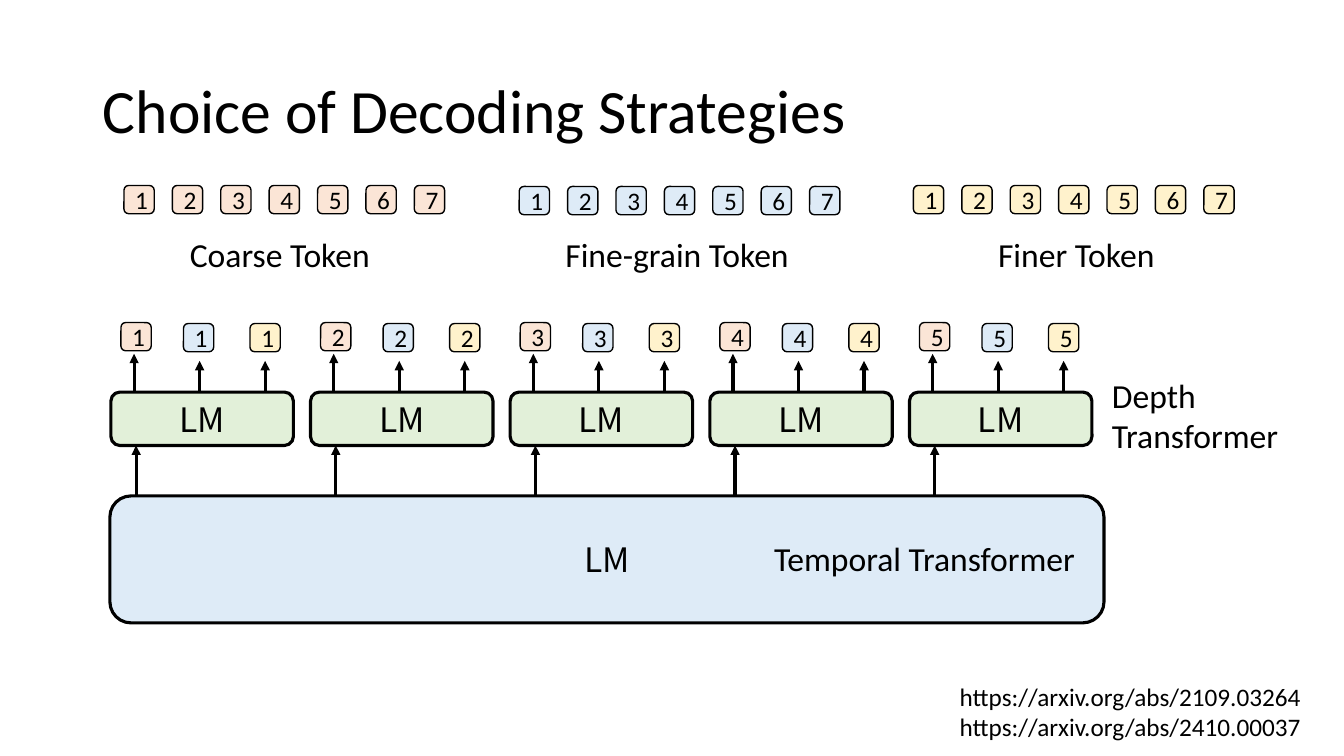
from dataclasses import dataclass

from lxml.etree import SubElement
from pptx import Presentation
from pptx.dml.color import RGBColor
from pptx.enum.shapes import MSO_CONNECTOR, MSO_SHAPE
from pptx.enum.text import MSO_ANCHOR, MSO_AUTO_SIZE, PP_ALIGN
from pptx.oxml.ns import qn
from pptx.slide import Slide
from pptx.text.text import TextFrame
from pptx.util import Inches, Pt


@dataclass(frozen=True)
class Theme:
    ink: str = "000000"
    coarse: str = "FBE5D6"
    fine: str = "DEEBF7"
    finer: str = "FFF2CC"
    depth: str = "E2F0D9"
    temporal: str = "DEEBF7"
    text_font: str = "Calibri"
    model_font: str = "Noto Sans CJK SC"
    title_size: float = 44
    label_size: float = 24
    small_size: float = 18
    thin: float = 1
    thick: float = 2.25


@dataclass(frozen=True)
class Box:
    left: float
    top: float
    width: float
    height: float

    def lengths(self) -> list[int]:
        return [Inches(v) for v in (self.left, self.top, self.width, self.height)]


@dataclass(frozen=True)
class Stream:
    """One token stream: its row at the top and its place above each depth LM."""
    name: str
    fill: str
    row_left: float
    row_top: float
    label_left: float
    token_dx: float
    token_top: float
    arrow_dx: float
    arrow_from: float
    arrow_to: float


THEME = Theme()
STREAMS = [
    Stream("Coarse Token", THEME.coarse, 1.23, 1.84, 1.35, 0.1, 3.2, 0.23, 4.02, 3.51),
    Stream("Fine-grain Token", THEME.fine, 5.15, 1.85, 5.29, 0.72, 3.21, 0.88, 4.17, 3.58),
    Stream("Finer Token", THEME.finer, 9.06, 1.84, 9.25, 1.38, 3.21, 1.53, 4.17, 3.58),
]
ROW_TOKENS, TOKEN_STEP = 7, 0.48
DEPTH_STEPS, DEPTH_LEFT, DEPTH_STEP = 5, 1.1, 1.98


def write(tf: TextFrame, lines: list[str], size: float, align: PP_ALIGN,
          font: str = THEME.text_font) -> None:
    fmt = {"name": font, "size": Pt(size), "bold": False}
    for i, line in enumerate(lines):
        p = tf.paragraphs[0] if i == 0 else tf.add_paragraph()
        p.alignment = align
        r = p.add_run()
        r.text = line
        for name, value in fmt.items():
            setattr(r.font, name, value)
        r.font.color.rgb = RGBColor.from_string(THEME.ink)


def add_label(s: Slide, box: Box, lines: list[str], size: float = THEME.label_size,
              align: PP_ALIGN = PP_ALIGN.LEFT) -> None:
    tf = s.shapes.add_textbox(*box.lengths()).text_frame
    tf.word_wrap = True
    tf.auto_size = MSO_AUTO_SIZE.SHAPE_TO_FIT_TEXT
    write(tf, lines, size, align)


def add_rounded(s: Slide, box: Box, text: str, fill: str, line: float,
                size: float, font: str) -> None:
    sp = s.shapes.add_shape(MSO_SHAPE.ROUNDED_RECTANGLE, *box.lengths())
    sp.shadow.inherit = False
    sp.fill.solid()
    sp.fill.fore_color.rgb = RGBColor.from_string(fill)
    sp.line.color.rgb = RGBColor.from_string(THEME.ink)
    sp.line.width = Pt(line)
    sp.text_frame.vertical_anchor = MSO_ANCHOR.MIDDLE
    write(sp.text_frame, [text], size, PP_ALIGN.CENTER, font)


def add_token(s: Slide, left: float, top: float, number: int, fill: str) -> None:
    add_rounded(s, Box(left, top, 0.3, 0.28), str(number), fill,
                THEME.thin, THEME.small_size, THEME.text_font)


def add_model(s: Slide, box: Box, fill: str) -> None:
    add_rounded(s, box, "LM", fill, THEME.thick, THEME.label_size, THEME.model_font)


def add_up_arrow(s: Slide, x: float, bottom: float, top: float) -> None:
    c = s.shapes.add_connector(MSO_CONNECTOR.STRAIGHT, Inches(x), Inches(bottom),
                               Inches(x), Inches(top))
    c.line.color.rgb = RGBColor.from_string(THEME.ink)
    c.line.width = Pt(THEME.thick)
    props = c._element.spPr
    SubElement(props.find(qn("a:ln")), qn("a:tailEnd"), type="triangle")
    SubElement(props, qn("a:effectLst"))


def add_title(s: Slide, text: str) -> None:
    title = s.shapes.title
    title.left, title.top, title.width, title.height = Box(0.92, 0.4, 11.5, 1.45).lengths()
    tf = title.text_frame
    tf.vertical_anchor = MSO_ANCHOR.MIDDLE
    write(tf, [text], THEME.title_size, PP_ALIGN.LEFT)
    tf.paragraphs[0].line_spacing = 0.9


def add_stream_row(s: Slide, stream: Stream) -> None:
    for i in range(ROW_TOKENS):
        add_token(s, stream.row_left + i * TOKEN_STEP, stream.row_top, i + 1, stream.fill)
    add_label(s, Box(stream.label_left, 2.27, 2.85, 0.5), [stream.name],
              align=PP_ALIGN.CENTER)


def add_depth_step(s: Slide, index: int) -> None:
    """Draw one depth LM with its input arrow and its output token per stream."""
    left = DEPTH_LEFT + index * DEPTH_STEP
    add_up_arrow(s, left + 0.25, 4.94, 4.42)
    for stream in STREAMS:
        add_up_arrow(s, left + stream.arrow_dx, stream.arrow_from, stream.arrow_to)
        add_token(s, left + stream.token_dx, stream.token_top, index + 1, stream.fill)
    add_model(s, Box(left, 3.89, 1.81, 0.53), THEME.depth)


def main() -> None:
    prs = Presentation()
    prs.slide_width, prs.slide_height = Inches(13.33), Inches(7.5)
    s = prs.slides.add_slide(prs.slide_layouts[5])
    add_title(s, "Choice of Decoding Strategies")
    for stream in STREAMS:
        add_stream_row(s, stream)
    for index in range(DEPTH_STEPS):
        add_depth_step(s, index)
    add_model(s, Box(1.09, 4.92, 9.86, 1.26), THEME.temporal)
    add_label(s, Box(7.45, 5.29, 3.44, 0.5), ["Temporal Transformer"],
              align=PP_ALIGN.CENTER)
    add_label(s, Box(10.93, 3.67, 1.92, 0.91), ["Depth", "Transformer"])
    add_label(s, Box(9.42, 6.71, 3.9, 0.71),
              ["https://arxiv.org/abs/2109.03264", "https://arxiv.org/abs/2410.00037"],
              THEME.small_size)
    prs.save("out.pptx")


if __name__ == "__main__":
    main()
